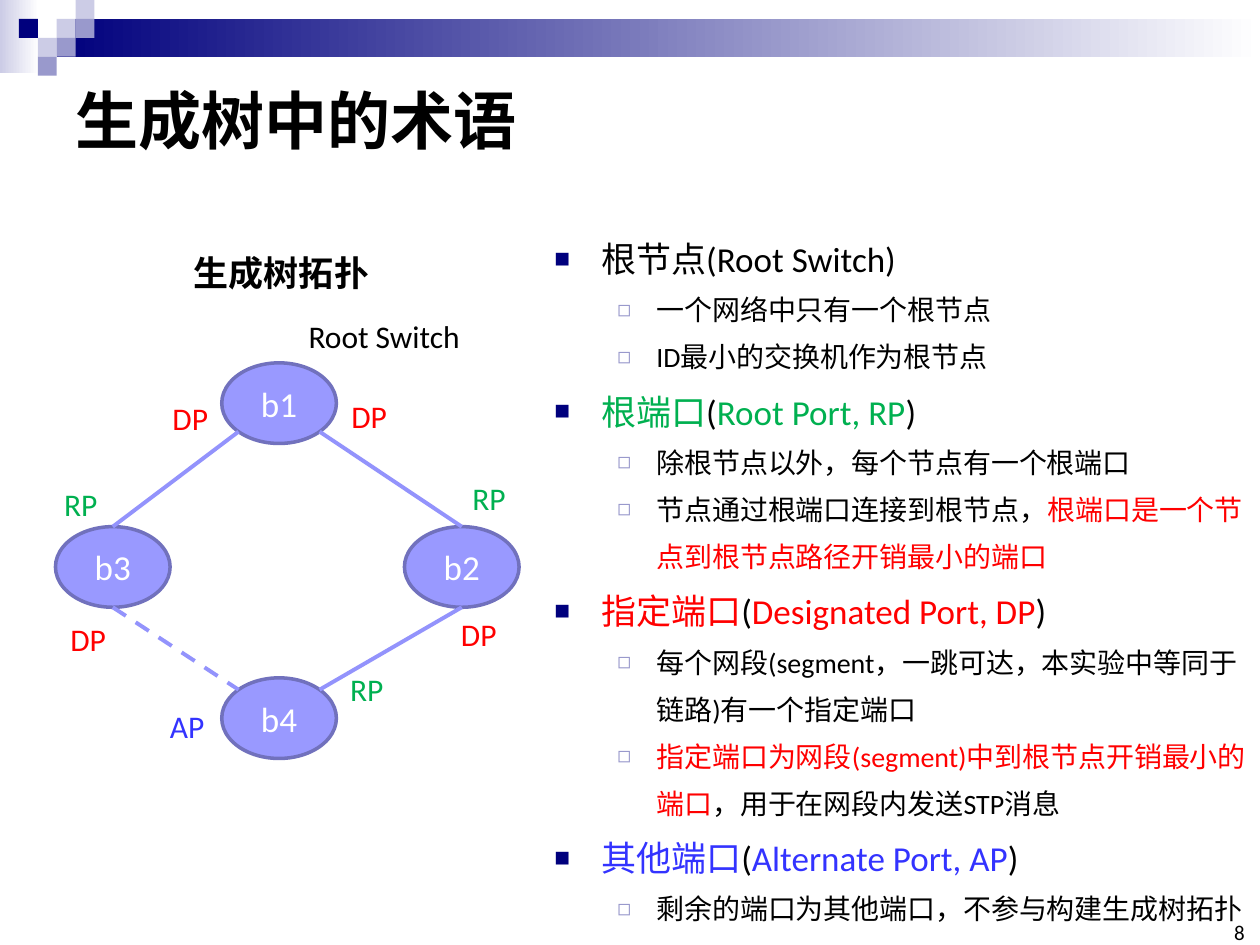
from math import cos, pi

from lxml.etree import SubElement
from pptx import Presentation
from pptx.dml.color import RGBColor
from pptx.enum.dml import MSO_LINE
from pptx.enum.shapes import MSO_CONNECTOR, MSO_SHAPE
from pptx.enum.text import MSO_ANCHOR, MSO_AUTO_SIZE, PP_ALIGN
from pptx.oxml.ns import qn
from pptx.util import Inches, Pt

BLACK = RGBColor(0x00, 0x00, 0x00)
WHITE = RGBColor(0xFF, 0xFF, 0xFF)
NAVY = RGBColor(0x00, 0x00, 0x7D)
PALE = RGBColor(0xCC, 0xCC, 0xE6)
LILAC = RGBColor(0x99, 0x99, 0xCC)
NODE_FILL = RGBColor(0x99, 0x99, 0xFF)
NODE_LINE = RGBColor(0x71, 0x71, 0xBD)
LINK = RGBColor(0x93, 0x93, 0xFC)
GREEN = RGBColor(0x00, 0xB0, 0x50)
RED = RGBColor(0xFF, 0x00, 0x00)
BLUE = RGBColor(0x33, 0x33, 0xFF)

# Content: slide text
TITLE = "生成树中的术语"
PAGE_NUMBER = "8"
TERMS = [  # (level, [(text, colour), ...])
    (0, [("根节点(Root Switch)", BLACK)]),
    (1, [("一个网络中只有一个根节点", BLACK)]),
    (1, [("ID最小的交换机作为根节点", BLACK)]),
    (0, [("根端口", GREEN), ("(", BLACK), ("Root Port, RP", GREEN), (")", BLACK)]),
    (1, [("除根节点以外，每个节点有一个根端口", BLACK)]),
    (1, [("节点通过根端口连接到根节点，", BLACK),
         ("根端口是一个节点到根节点路径开销最小的端口", RED)]),
    (0, [("指定端口", RED), ("(", BLACK), ("Designated Port, DP", RED), (")", BLACK)]),
    (1, [("每个网段(segment，一跳可达，本实验中等同于链路)有一个指定端口", BLACK)]),
    (1, [("指定端口为网段(segment)中到根节点开销最小的端口", RED),
         ("，用于在网段内发送STP消息", BLACK)]),
    (0, [("其他端口", BLUE), ("(", BLACK), ("Alternate Port, AP", BLUE), (")", BLACK)]),
    (1, [("剩余的端口为其他端口，不参与构建生成树拓扑", BLACK)]),
]
LEVELS = [
    dict(size=20, margin=0.37, indent=-0.37, bullet="■", color=NAVY, percent=75),
    dict(size=16, margin=0.81, indent=-0.31, bullet="◻", color=LILAC, percent=80),
]

# Content: topology
NODE_WIDTH, NODE_HEIGHT = 0.91, 0.64
NODES = {"b1": (1.76, 2.88), "b3": (0.44, 4.18), "b2": (3.21, 4.18), "b4": (1.76, 5.38)}
LINKS = [  # (from, side, to, side, dashed), sides as (x, y) directions
    ("b1", (-1, 1), "b3", (0, -1), False),
    ("b1", (1, 1), "b2", (0, -1), False),
    ("b3", (0, 1), "b4", (-1, -1), True),
    ("b2", (0, 1), "b4", (1, -1), False),
]
PORT_COLORS = {"RP": GREEN, "DP": RED, "AP": BLUE}
PORTS = [
    ("RP", 0.41, 3.8), ("RP", 3.65, 3.75), ("RP", 2.68, 5.27),
    ("DP", 1.27, 3.12), ("DP", 2.69, 3.1), ("DP", 0.46, 4.87), ("DP", 3.56, 4.83),
    ("AP", 1.25, 5.56),
]

# Content: header decoration
GRADIENT_BARS = [((0, 0, 0.31, 0.58), PALE), ((0.45, 0.15, 9.55, 0.3), NAVY)]
CELL = 0.15
MOSAIC = [(3, 1, PALE), (4, 0, PALE), (4, 1, LILAC), (2, 2, PALE),
          (1, 1, NAVY), (3, 2, LILAC), (2, 3, LILAC)]


def box(left, top, width, height):
    return [Inches(value) for value in (left, top, width, height)]


def move(shape, *place):
    shape.left, shape.top, shape.width, shape.height = box(*place)


def add_run(paragraph, text, **format_values):
    run = paragraph.add_run()
    run.text = text
    run.font.color.rgb = format_values.pop("color", BLACK)
    values = {"name": "Calibri", "size": Pt(format_values.pop("size")), **format_values}
    for name, value in values.items():
        setattr(run.font, name, value)


def add_plain_shape(preset, *place):
    shape = slide.shapes.add_shape(preset, *box(*place))
    shape.shadow.inherit = False
    shape.line.fill.background()
    return shape


def add_label(text, *place, **format_values):
    label = slide.shapes.add_textbox(*box(*place))
    label.text_frame.word_wrap = False
    add_run(label.text_frame.paragraphs[0], text, **format_values)
    return label


def add_bullet(paragraph, level):
    properties = paragraph._p.get_or_add_pPr()
    properties.set("marL", str(Inches(level["margin"])))
    properties.set("indent", str(Inches(level["indent"])))
    color = SubElement(properties, qn("a:buClr"))
    SubElement(color, qn("a:srgbClr"), val=str(level["color"]))
    SubElement(properties, qn("a:buSzPct"), val=str(level["percent"] * 1000))
    SubElement(properties, qn("a:buChar"), char=level["bullet"])


def ellipse_point(name, side):
    """Point on the node's outline in one of eight directions."""
    left, top = NODES[name]
    reach = cos(pi / 4) if all(side) else 1
    return (Inches(left + NODE_WIDTH / 2 * (1 + reach * side[0])),
            Inches(top + NODE_HEIGHT / 2 * (1 + reach * side[1])))


presentation = Presentation()
presentation.slide_width, presentation.slide_height = Inches(10), Inches(7.5)
slide = presentation.slides.add_slide(presentation.slide_layouts[1])
title, body = slide.placeholders

# Header decoration
for place, start_color in GRADIENT_BARS:
    bar = add_plain_shape(MSO_SHAPE.RECTANGLE, *place)
    bar.fill.gradient()
    bar.fill.gradient_angle = 0
    for stop, position, color in zip(bar.fill.gradient_stops, (0, 1), (start_color, WHITE)):
        stop.position, stop.color.rgb = position, color
for column, row, color in MOSAIC:
    square = add_plain_shape(MSO_SHAPE.RECTANGLE, column * CELL, row * CELL, CELL, CELL)
    square.fill.solid()
    square.fill.fore_color.rgb = color

# Title
move(title, 0.5, 0.5, 9, 0.89)
title.text_frame.vertical_anchor = MSO_ANCHOR.MIDDLE
title.text_frame.paragraphs[0].alignment = PP_ALIGN.LEFT
add_run(title.text_frame.paragraphs[0], TITLE, size=36, bold=True)

# Term list
move(body, 4.3, 1.7, 5.7, 5.51)
body.text_frame.auto_size = MSO_AUTO_SIZE.NONE
for index, (level_number, runs) in enumerate(TERMS):
    frame = body.text_frame
    paragraph = frame.add_paragraph() if index else frame.paragraphs[0]
    level = LEVELS[level_number]
    add_bullet(paragraph, level)
    for name, value in dict(level=level_number, line_spacing=1.4, space_before=Pt(0)).items():
        setattr(paragraph, name, value)
    for text, color in runs:
        add_run(paragraph, text, size=level["size"], color=color)

# Topology nodes
node_shapes = {}
for name, (left, top) in NODES.items():
    node = add_plain_shape(MSO_SHAPE.OVAL, left, top, NODE_WIDTH, NODE_HEIGHT)
    node.fill.solid()
    node.fill.fore_color.rgb = NODE_FILL
    node.line.color.rgb = NODE_LINE
    node.line.width = Pt(2)
    node.text_frame.vertical_anchor = MSO_ANCHOR.MIDDLE
    node.text_frame.paragraphs[0].alignment = PP_ALIGN.CENTER
    add_run(node.text_frame.paragraphs[0], name, size=20, color=WHITE)
    node_shapes[name] = node

# Topology links
for start, start_side, end, end_side, dashed in LINKS:
    link = slide.shapes.add_connector(
        MSO_CONNECTOR.STRAIGHT, *ellipse_point(start, start_side), *ellipse_point(end, end_side))
    if end_side == (0, -1):
        link.end_connect(node_shapes[end], 0)
    link.line.color.rgb = LINK
    link.line.width = Pt(2.25)
    if dashed:
        link.line.dash_style = MSO_LINE.DASH
    SubElement(link._element.spPr, qn("a:effectLst"))

# Topology labels
add_label("生成树拓扑", 1.44, 1.95, 1.61, 0.44, size=20, bold=True)
add_label("Root Switch", 2.35, 2.47, 1.42, 0.4, size=18)
for port, left, top in PORTS:
    add_label(port, left, top, 0.48, 0.4, size=18, color=PORT_COLORS[port])

# Page number
number = add_label(PAGE_NUMBER, 9.65, 7.33, 0.23, 0.17, size=12).text_frame
number.margin_left = number.margin_right = number.margin_top = number.margin_bottom = 0
number.word_wrap = True
number.vertical_anchor = MSO_ANCHOR.BOTTOM
number.paragraphs[0].alignment = PP_ALIGN.RIGHT

presentation.save("out.pptx")
